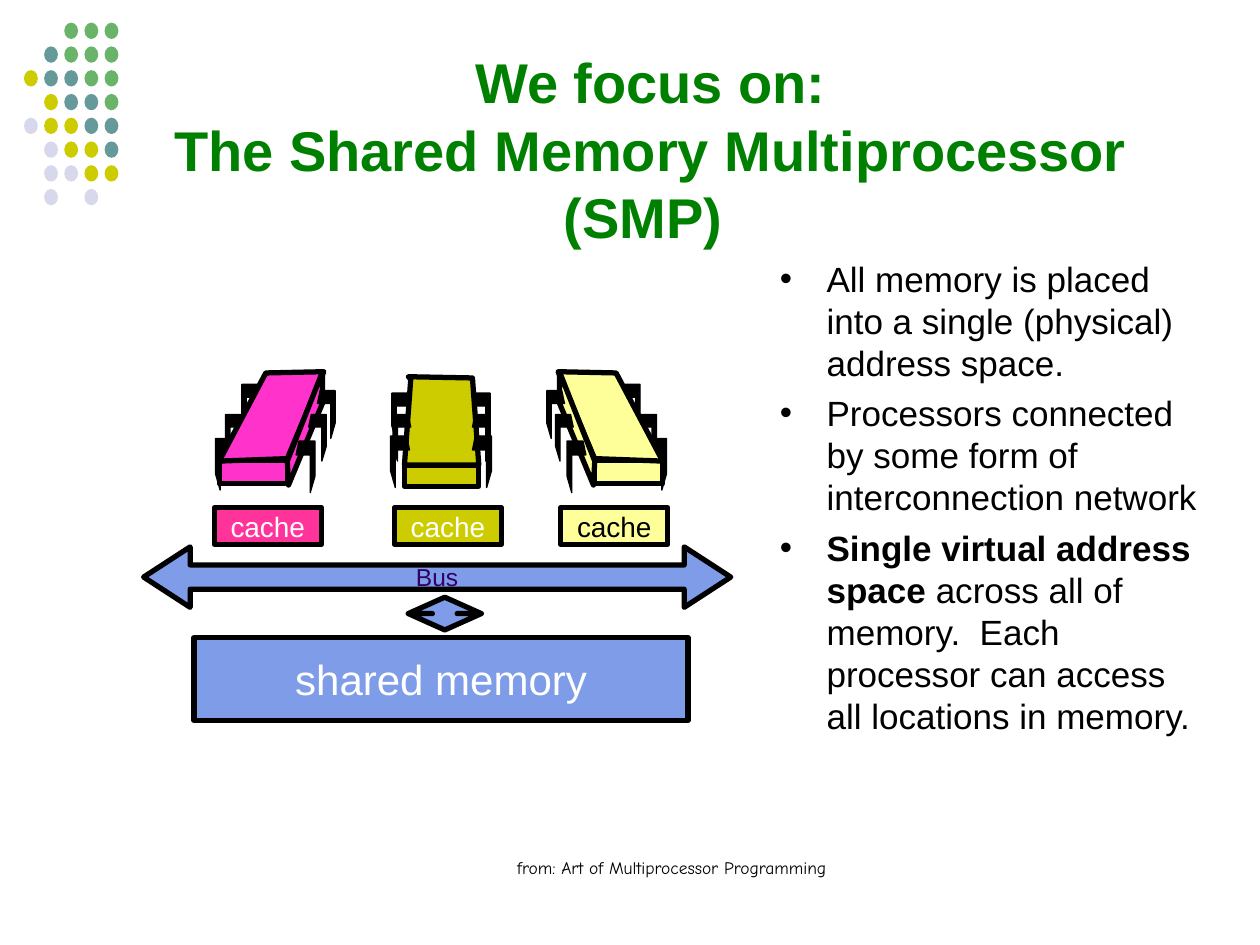
from dataclasses import dataclass

from lxml import etree
from pptx import Presentation
from pptx.dml.color import RGBColor
from pptx.enum.shapes import MSO_SHAPE
from pptx.enum.text import MSO_ANCHOR, MSO_AUTO_SIZE, PP_ALIGN
from pptx.oxml.ns import qn
from pptx.util import Inches, Pt

OVAL, RECT = MSO_SHAPE.OVAL, MSO_SHAPE.RECTANGLE
H_ARROW, V_ARROW = MSO_SHAPE.LEFT_RIGHT_ARROW, MSO_SHAPE.UP_DOWN_ARROW
TOP, MIDDLE = MSO_ANCHOR.TOP, MSO_ANCHOR.MIDDLE
LEFT, CENTER = PP_ALIGN.LEFT, PP_ALIGN.CENTER
NO_FIT = MSO_AUTO_SIZE.NONE


@dataclass(frozen=True)
class Theme:
    """Colours, fonts and type sizes of the slide."""
    font: str = "Arial"
    credit_font: str = "Comic Neue"
    black: str = "000000"
    white: str = "FFFFFF"
    green: str = "008000"
    teal: str = "669999"
    olive: str = "CCCC00"
    lilac: str = "D8D8EC"
    magenta: str = "FF33CC"
    pink: str = "FF3399"
    cream: str = "FFFF99"
    blue: str = "7E9CE8"
    purple: str = "330066"
    title: int = 32
    memory: int = 24
    body: int = 20
    cache: int = 16
    bus: int = 14
    credit: int = 10
    thick: float = 3
    thin: float = 0.75


T = Theme()
DOT_ROWS = ["  ggg", " tggg", "yttgg", " yttg", "lyytt", " lyyt", " llyy", " l l "]
DOT_COLORS = {"g": T.green, "t": T.teal, "y": T.olive, "l": T.lilac}
LEG = [(0.15, 0), (1, 0), (1, 0.68), (0.75, 1), (0.75, 0.27), (0, 0.27)]
LEG_SIZES = [(0.15, 0.41), (0.14, 0.37), (0.14, 0.38)]
BULLETS = [
    [("All memory is placed into a single (physical) address space.", False)],
    [("Processors connected by some form of interconnection network", False)],
    [("Single virtual address space", True),
     (" across all of memory.  Each processor can access all locations in memory.", False)],
]


def set_attrs(obj, **values):
    """Set attributes of an object from format values."""
    for name, value in values.items():
        setattr(obj, name, value)


def place(sp, box):
    """Move a shape to a box given in inches."""
    set_attrs(sp, **dict(zip(("left", "top", "width", "height"), map(Inches, box))))


def style_run(r, size, color, font=T.font, bold=False):
    """Format one run."""
    set_attrs(r.font, size=Pt(size), name=font, bold=bold)
    r.font.color.rgb = RGBColor.from_string(color)


def paint(sp, fill, line=None):
    """Give a shape a flat fill and an optional black line."""
    sp.shadow.inherit = False
    sp.fill.solid()
    sp.fill.fore_color.rgb = RGBColor.from_string(fill)
    if line is None:
        sp.line.fill.background()
    else:
        sp.line.color.rgb = RGBColor.from_string(T.black)
        sp.line.width = Pt(line)


def add_block(shapes, kind, box, fill, text="", size=T.cache, color=T.white):
    """Add an outlined preset shape with an optional centred label."""
    sp = shapes.add_shape(kind, *map(Inches, box))
    paint(sp, fill, T.thick)
    if text:
        tf = sp.text_frame
        set_attrs(tf, word_wrap=False, vertical_anchor=MIDDLE)
        p = tf.paragraphs[0]
        p.alignment = CENTER
        r = p.add_run()
        r.text = text
        style_run(r, size, color)
    return sp


def add_polygon(shapes, points, fill, line):
    """Add a closed outline through points in inches."""
    pts = [(Inches(x), Inches(y)) for x, y in points]
    fb = shapes.build_freeform(*pts[0])
    fb.add_line_segments(pts[1:], close=True)
    paint(fb.convert_to_shape(), fill, line)


def add_legs(shapes, to_slide, spots, facing):
    """Add a row of three chip legs that face right (1) or left (-1)."""
    for (x, y), (w, h) in zip(spots, LEG_SIZES):
        pts = [(x + w * (u if facing > 0 else 1 - u), y + h * v) for u, v in LEG]
        add_polygon(shapes, map(to_slide, pts), T.black, T.thin)


def add_side_chip(shapes, box, fill, mirrored=False):
    """Add a slanted chip in a box, optionally mirrored."""
    left, top, width, _ = box

    def to_slide(pt):
        """Map a point in the chip to the slide."""
        return left + (width - pt[0] if mirrored else pt[0]), top + pt[1]

    front = left + (width - 0.57 if mirrored else 0.03)
    add_block(shapes, RECT, (front, top + 0.7, 0.54, 0.19), fill)
    add_legs(shapes, to_slide, [(0, 0.53), (0.08, 0.34), (0.21, 0.1)], -1)
    lid = [(0.03, 0.71), (0.57, 0.69), (0.86, 0), (0.4, 0.01)]
    side = [(0.85, 0), (0.85, 0.25), (0.58, 0.9), (0.57, 0.71)]
    for face in (lid, side):
        add_polygon(shapes, map(to_slide, face), fill, T.thick)
    add_legs(shapes, to_slide, [(0.64, 0.55), (0.74, 0.34), (0.81, 0.15)], 1)


def add_front_chip(shapes, box, fill):
    """Add a chip seen from the front in a box."""
    left, top, _, _ = box

    def to_slide(pt):
        """Map a point in the chip to the slide."""
        return left + pt[0], top + pt[1]

    add_block(shapes, RECT, (left + 0.11, top + 0.7, 0.59, 0.17), fill)
    lid = [(0.16, 0.02), (0.14, 0), (0.65, 0.01), (0.7, 0.7), (0.11, 0.7)]
    add_polygon(shapes, map(to_slide, lid), fill, T.thick)
    rows = (0.47, 0.3, 0.13)
    add_legs(shapes, to_slide, [(0.65, y) for y in rows], 1)
    add_legs(shapes, to_slide, list(zip((0, 0.02, 0.01), rows)), -1)


def add_diagram(slide, box):
    """Draw processors, caches, bus and shared memory in a box."""
    left, top, width, _ = box
    shapes = slide.shapes.add_group_shape().shapes
    add_front_chip(shapes, (left + 1.96, top + 0.04, 0.8, 0.88), T.olive)
    add_side_chip(shapes, (left + 0.57, top, 0.96, 0.96), T.magenta)
    add_side_chip(shapes, (left + 3.19, top, 0.96, 0.96), T.cream, mirrored=True)
    bus = add_block(shapes, H_ARROW, (left, top + 1.39, width, 0.48), T.blue,
                    "Bus", T.bus, T.purple)
    bus.adjustments[0], bus.adjustments[1] = 0.4, 0.77
    add_block(shapes, RECT, (left + 0.4, top + 2.11, 3.92, 0.66), T.blue,
              "shared memory", T.memory)
    link = add_block(shapes, V_ARROW, (left + 2.1, top + 1.79, 0.58, 0.26), T.blue)
    link.adjustments[1] = 0.34
    for x, fill, color in ((0.56, T.pink, T.white), (1.99, T.olive, T.white),
                           (3.31, T.cream, T.black)):
        add_block(shapes, RECT, (left + x, top + 1.08, 0.85, 0.29), fill,
                  "cache", T.cache, color)


def add_dots(slide, box):
    """Fill a box with the corner pattern of dots."""
    left, top, width, height = box
    shapes = slide.shapes.add_group_shape().shapes
    w, h = 0.11, 0.13
    dx, dy = (width - w) / 4, (height - h) / (len(DOT_ROWS) - 1)
    for j, row in enumerate(DOT_ROWS):
        for i, key in enumerate(row):
            if key == " ":
                continue
            dot = (left + i * dx, top + j * dy, w, h)
            sp = shapes.add_shape(OVAL, *map(Inches, dot))
            paint(sp, DOT_COLORS[key])
            if key == "g":
                clr = sp._element.spPr.find(qn("a:solidFill"))[0]
                etree.SubElement(clr, qn("a:alpha"), val="59000")


def add_title(slide, box):
    """Fill the title placeholder."""
    sp = slide.shapes.title
    place(sp, box)
    tf = sp.text_frame
    set_attrs(tf, word_wrap=True, auto_size=NO_FIT, vertical_anchor=TOP)
    p = tf.paragraphs[0]
    p.text = "We focus on:\vThe Shared Memory Multiprocessor\v(SMP) "
    p.alignment = CENTER
    for r in p.runs:
        style_run(r, T.title, T.green, bold=True)


def add_body(slide, box):
    """Fill the body placeholder with the bullet list."""
    sp = slide.placeholders[1]
    place(sp, box)
    tf = sp.text_frame
    set_attrs(tf, word_wrap=True, auto_size=NO_FIT, vertical_anchor=TOP)
    for i, runs in enumerate(BULLETS):
        p = tf.add_paragraph() if i else tf.paragraphs[0]
        set_attrs(p, alignment=LEFT, space_before=Pt(5))
        pPr = p._p.get_or_add_pPr()
        pPr.set("marL", str(Inches(0.37)))
        pPr.set("indent", str(Inches(-0.37)))
        etree.SubElement(pPr, qn("a:buChar"), char="•")
        for text, bold in runs:
            r = p.add_run()
            r.text = text
            style_run(r, T.body, T.black, bold=bold)


def add_credit(slide, box):
    """Add the centred source line."""
    tf = slide.shapes.add_textbox(*map(Inches, box)).text_frame
    tf.word_wrap = True
    p = tf.paragraphs[0]
    p.alignment = CENTER
    r = p.add_run()
    r.text = "from: Art of Multiprocessor Programming"
    style_run(r, T.credit, T.black, T.credit_font)


def main():
    """Build and save the slide."""
    prs = Presentation()
    prs.slide_width, prs.slide_height = Inches(10), Inches(7.5)
    slide = prs.slides.add_slide(prs.slide_layouts[1])
    add_dots(slide, (0.19, 0.18, 0.75, 1.45))
    add_credit(slide, (1.17, 6.75, 8.32, 0.39))
    add_title(slide, (0.33, 0.33, 9.67, 1.7))
    add_diagram(slide, (1.14, 2.95, 4.66, 2.77))
    add_body(slide, (6.09, 1.99, 3.58, 4.96))
    prs.save("out.pptx")


if __name__ == "__main__":
    main()
